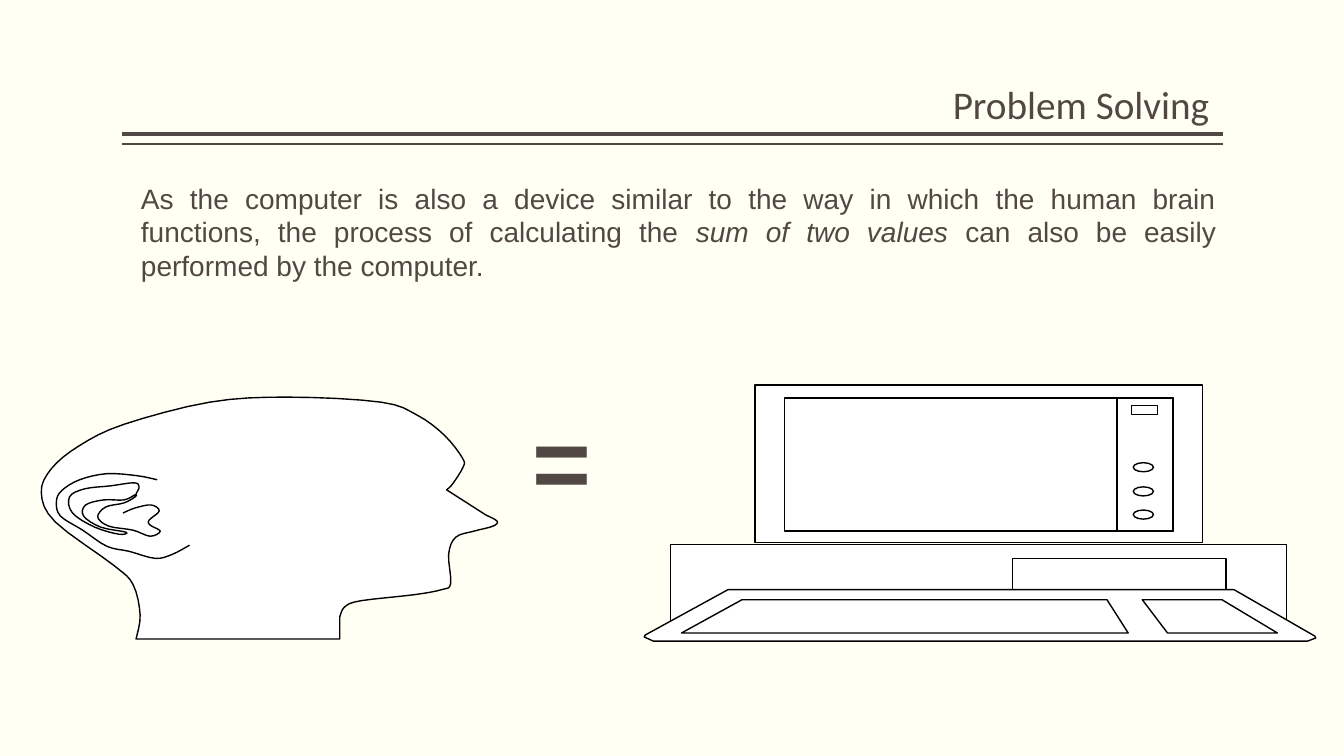
import pptx
import pptx.util
import pptx.dml.color
import pptx.enum.shapes
import pptx.enum.text
import pptx.oxml.ns
import lxml.etree

Inches = pptx.util.Inches
SHAPES = pptx.enum.shapes.MSO_SHAPE
ALIGN = pptx.enum.text.PP_ALIGN
ANCHOR = pptx.enum.text.MSO_ANCHOR

# Content
PAPER, INK, WHITE, BLACK = "FFFFF3", "514843", "FFFFFF", "000000"
TITLE = "Problem Solving"
STATEMENT = [
    ("As the computer is also a device similar to the way in which the human brain "
     "functions, the process of calculating the ", False),
    ("sum of two values ", True),
    ("can also be easily performed by the computer.", False),
]
RULES = [(1.33, 3), (1.43, 1)]  # height on the slide, line width

# Computer boxes: left, top, width, height in inches
CASE = [(6.65, 5.4, 6.11, 0.8), (10.04, 5.54, 2.12, 0.37)]
MONITOR = [(7.49, 3.82, 4.44, 1.56), (7.78, 3.95, 3.86, 1.32),
           (11.08, 3.95, 0.55, 1.32), (11.22, 4.02, 0.26, 0.09)]
KNOBS = [(11.24, top, 0.2, 0.09) for top in (4.59, 4.83, 5.06)]

# Outlines: points in inches
KEYBOARD = [
    [(7.22, 5.85), (12.24, 5.85), (13.04, 6.31), (13.05, 6.33), (12.97, 6.36),
     (6.48, 6.36), (6.39, 6.32), (6.4, 6.3)],
    [(7.36, 5.95), (10.98, 5.95), (11.19, 6.28), (6.76, 6.28)],
    [(11.33, 5.95), (12.12, 5.95), (12.67, 6.28), (11.58, 6.28)],
]
# The head is a chain of curves; each one starts where the last one ends
HEAD = [
    [(1.35, 6.34), (3.37, 6.34)],
    [(3.37, 6.12), (3.42, 6.02), (3.58, 5.96), (4.11, 5.9), (4.38, 5.85), (4.47, 5.79),
     (4.45, 5.5), (4.52, 5.33), (4.7, 5.27), (4.89, 5.22), (4.93, 5.17), (4.82, 5.11)],
    [(4.43, 4.86), (4.49, 4.8), (4.59, 4.64), (4.59, 4.55), (4.41, 4.32), (4.14, 4.12),
     (3.78, 3.99), (2.86, 3.94), (2.08, 3.99), (1.23, 4.21), (0.79, 4.42), (0.51, 4.65),
     (0.41, 4.89), (0.55, 5.18), (1.13, 5.61), (1.32, 5.8), (1.39, 6.1), (1.35, 6.34)],
]
OUTER_EAR = [
    (1.56, 4.76), (1.36, 4.72), (1.06, 4.7), (0.79, 4.76), (0.61, 4.87), (0.56, 4.98),
    (0.6, 5.12), (0.82, 5.26), (1.06, 5.42), (1.28, 5.47), (1.54, 5.54), (1.71, 5.5),
    (1.88, 5.41),
]
INNER_EAR = [
    (1.22, 5.09), (1.34, 5.04), (1.5, 5.01), (1.58, 5.07), (1.48, 5.16), (1.49, 5.21),
    (1.59, 5.27), (1.49, 5.32), (1.32, 5.26), (1.08, 5.22), (0.97, 5.13), (1.05, 5.03),
    (1.23, 4.99), (1.34, 4.93), (1.34, 4.91), (1.23, 4.96), (1.03, 4.96), (0.85, 5.01),
    (0.83, 5.12), (1, 5.23), (1.25, 5.28), (1.18, 5.3), (0.94, 5.23), (0.72, 5.09),
    (0.69, 4.93), (0.84, 4.85), (1.1, 4.82), (1.33, 4.79), (1.38, 4.83), (1.35, 4.9),
]


def color(value):
    return pptx.dml.color.RGBColor.from_string(value)


def outlined(shape):
    shape.shadow.inherit = False
    shape.fill.solid()
    shape.fill.fore_color.rgb = color(WHITE)
    shape.line.color.rgb = color(BLACK)
    shape.line.width = pptx.util.Pt(1)


def add_preset(page, kind, place):
    outlined(page.shapes.add_shape(kind, *map(Inches, place)))


def smooth(points, steps=4):
    """Catmull-Rom curve through the points."""
    padded = [points[0], *points, points[-1]]
    curve = []
    for before, start, end, after in zip(padded, padded[1:], padded[2:], padded[3:]):
        for step in range(steps):
            t = step / steps
            curve.append(tuple(
                b + t * (c - a) / 2 + t ** 2 * (a - 2.5 * b + 2 * c - d / 2)
                + t ** 3 * (3 * b - a - 3 * c + d) / 2
                for a, b, c, d in zip(before, start, end, after)))
    return curve + [points[-1]]


def add_outline(page, points, close):
    corners = [tuple(map(Inches, point)) for point in points]
    builder = page.shapes.build_freeform(*corners[0])
    builder.add_line_segments(corners[1:], close=close)
    outlined(builder.convert_to_shape())


def add_rule(page, height, width):
    rule = page.shapes.add_connector(
        pptx.enum.shapes.MSO_CONNECTOR.STRAIGHT,
        Inches(12.13), Inches(height), Inches(1.21), Inches(height))
    rule.line.color.rgb = color(INK)
    rule.line.width = pptx.util.Pt(width)
    lxml.etree.SubElement(rule._element.spPr, pptx.oxml.ns.qn("a:effectLst"))


def add_text(page, place, spans, size, font, align, wrap=True, bold=False):
    box = page.shapes.add_textbox(*map(Inches, place))
    box.text_frame.word_wrap = wrap
    para = box.text_frame.paragraphs[0]
    para.alignment = align
    for words, italic in spans:
        span = para.add_run()
        span.text = words
        span.font.name = font
        span.font.size = pptx.util.Pt(size)
        span.font.color.rgb = color(INK)
        span.font.italic = italic
        span.font.bold = bold
    return box


def main():
    deck = pptx.Presentation()
    deck.slide_width, deck.slide_height = Inches(13.33), Inches(7.5)
    page = deck.slides.add_slide(deck.slide_layouts[6])
    page.background.fill.solid()
    page.background.fill.fore_color.rgb = color(PAPER)

    # Heading and statement
    for height, width in RULES:
        add_rule(page, height, width)
    title = add_text(page, (0.67, 0.3, 11.42, 1.02), [(TITLE, False)], 28, "Calibri",
                     ALIGN.RIGHT)
    title.text_frame.vertical_anchor = ANCHOR.BOTTOM
    title.text_frame.paragraphs[0].line_spacing = 0.9
    add_text(page, (1.3, 1.75, 10.86, 1.11), STATEMENT, 20, "Arial", ALIGN.JUSTIFY)

    # Computer
    for place in CASE:
        add_preset(page, SHAPES.RECTANGLE, place)
    for points in KEYBOARD:
        add_outline(page, points, close=True)
    for place in MONITOR:
        add_preset(page, SHAPES.RECTANGLE, place)
    for place in KNOBS:
        add_preset(page, SHAPES.OVAL, place)

    # Human head
    add_outline(page, [point for part in HEAD for point in smooth(part)], close=True)
    for points in (OUTER_EAR, INNER_EAR):
        add_outline(page, smooth(points), close=False)

    # Equals sign
    add_text(page, (5.18, 3.91, 0.82, 1.31), [("=", False)], 72, "Arial", ALIGN.LEFT,
             wrap=False, bold=True)
    deck.save("out.pptx")


if __name__ == "__main__":
    main()
